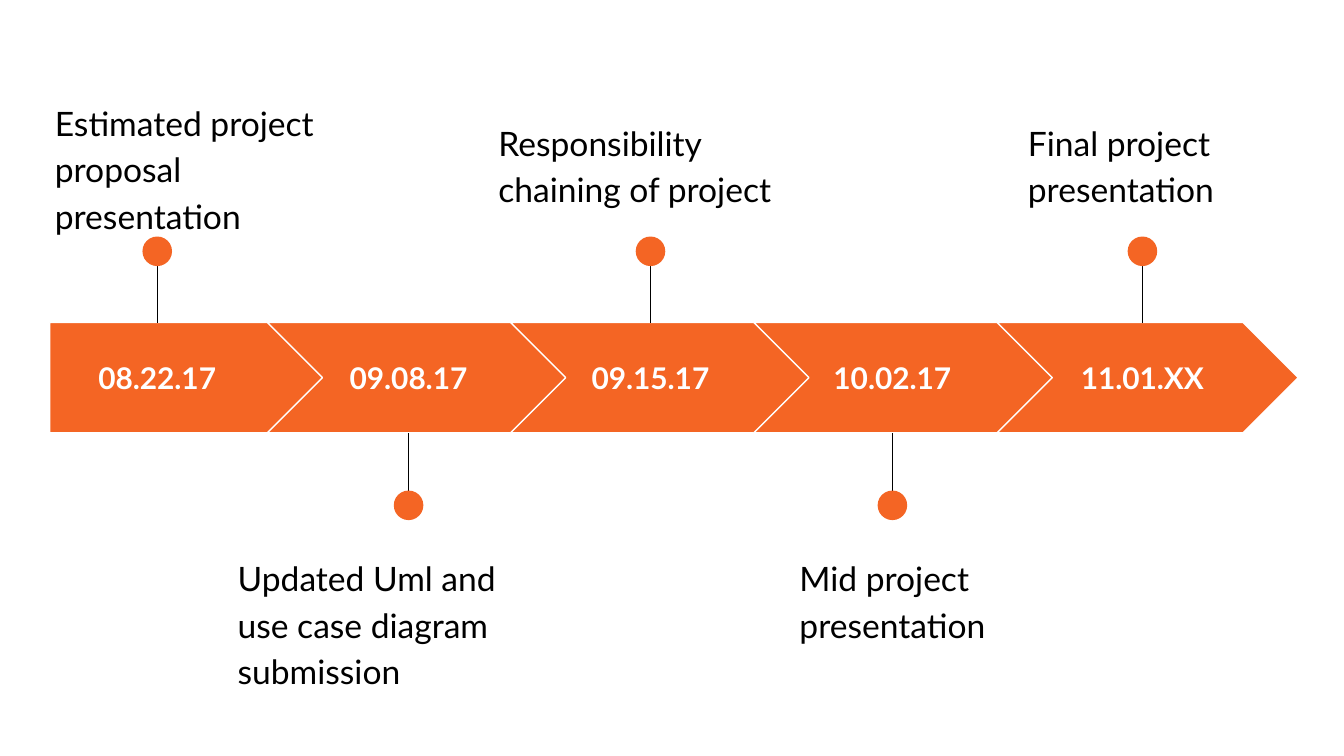
from typing import NamedTuple

from lxml import etree
from pptx import Presentation
from pptx.dml.color import RGBColor
from pptx.enum.shapes import MSO_CONNECTOR, MSO_SHAPE
from pptx.enum.text import MSO_ANCHOR, PP_ALIGN
from pptx.oxml.ns import qn
from pptx.util import Inches, Pt

PENTAGON, CHEVRON, OVAL = MSO_SHAPE.PENTAGON, MSO_SHAPE.CHEVRON, MSO_SHAPE.OVAL
STRAIGHT = MSO_CONNECTOR.STRAIGHT
LEFT, CENTER = PP_ALIGN.LEFT, PP_ALIGN.CENTER
TOP, MIDDLE = MSO_ANCHOR.TOP, MSO_ANCHOR.MIDDLE

COLORS = {"orange": "F46524", "white": "FFFFFF", "black": "000000"}
FONT = "Lato"

BAND_TOP, BAND_H = 2.4, 0.82
FIRST_LEFT, FIRST_W = 0.37, 2.05
CHEVRON_LEFT, CHEVRON_W, CHEVRON_STEP = 1.99, 2.24, 1.81
DATE_W, DATE_H = 1.44, 0.51
LABEL_W, LABEL_H = 2.45, 0.99
DOT = 0.22
DOT_TOP_ABOVE, DOT_TOP_BELOW = 1.76, 3.65


class Milestone(NamedTuple):
    date: str
    label: str
    pin_x: float
    label_left: float
    label_top: float
    above: bool


MILESTONES = [
    Milestone("08.22.17", "Estimated project proposal presentation", 1.17, 0.31, 0.62, True),
    Milestone("09.08.17", "Updated Uml and use case diagram submission", 3.04, 1.67, 4.01, False),
    Milestone("09.15.17", "Responsibility chaining of project", 4.84, 3.61, 0.77, True),
    Milestone("10.02.17", "Mid project presentation", 6.64, 5.85, 4.01, False),
    Milestone("11.01.XX", "Final project presentation", 8.5, 7.55, 0.77, True),
]


def rgb(name: str) -> RGBColor:
    return RGBColor.from_string(COLORS[name])


def add_text(slide, text: str, left: float, top: float, width: float, height: float, *,
             size: int, color: str, bold: bool = False, align=LEFT, anchor=TOP,
             spacing: float = 1.0, after: int = 0) -> None:
    tf = slide.shapes.add_textbox(Inches(left), Inches(top), Inches(width), Inches(height)).text_frame
    tf.word_wrap = True
    tf.vertical_anchor = anchor
    tf.margin_left = tf.margin_right = tf.margin_top = tf.margin_bottom = Inches(0.1)
    p = tf.paragraphs[0]
    p.alignment, p.line_spacing, p.space_after = align, spacing, Pt(after)
    r = p.add_run()
    r.text = text
    r.font.name, r.font.size, r.font.bold = FONT, Pt(size), bold
    r.font.color.rgb = rgb(color)


def add_filled(slide, kind, left: float, top: float, width: float, height: float,
               outlined: bool = False) -> None:
    sp = slide.shapes.add_shape(kind, Inches(left), Inches(top), Inches(width), Inches(height))
    sp.shadow.inherit = False
    sp.fill.solid()
    sp.fill.fore_color.rgb = rgb("orange")
    if outlined:
        sp.line.color.rgb = rgb("white")
        sp.line.width = Pt(0.75)
    else:
        sp.line.fill.background()


def add_pin(slide, x: float, above: bool) -> None:
    """Draw a stem from the band to a dot above or below it."""
    dot_top = DOT_TOP_ABOVE if above else DOT_TOP_BELOW
    band_edge = BAND_TOP if above else BAND_TOP + BAND_H
    stem = slide.shapes.add_connector(STRAIGHT, Inches(x), Inches(dot_top + DOT / 2),
                                      Inches(x), Inches(band_edge))
    stem.line.color.rgb = rgb("black")
    stem.line.width = Pt(0.75)
    etree.SubElement(stem._element.spPr, qn("a:effectLst"))
    add_filled(slide, OVAL, x - DOT / 2, dot_top, DOT, DOT)


def add_milestone(slide, index: int, m: Milestone) -> None:
    if index == 0:
        add_filled(slide, PENTAGON, FIRST_LEFT, BAND_TOP, FIRST_W, BAND_H, outlined=True)
    else:
        left = CHEVRON_LEFT + (index - 1) * CHEVRON_STEP
        add_filled(slide, CHEVRON, left, BAND_TOP, CHEVRON_W, BAND_H, outlined=True)
    add_text(slide, m.date, m.pin_x - DATE_W / 2, BAND_TOP + (BAND_H - DATE_H) / 2, DATE_W, DATE_H,
             size=16, color="white", bold=True, align=CENTER, anchor=MIDDLE)
    add_pin(slide, m.pin_x, m.above)
    add_text(slide, m.label, m.label_left, m.label_top, LABEL_W, LABEL_H,
             size=18, color="black", spacing=1.15, after=16)


def main() -> None:
    prs = Presentation()
    prs.slide_width = Inches(10)
    prs.slide_height = prs.slide_width * 9 // 16
    slide = prs.slides.add_slide(prs.slide_layouts[6])
    for index, milestone in enumerate(MILESTONES):
        add_milestone(slide, index, milestone)
    prs.save("out.pptx")


if __name__ == "__main__":
    main()
